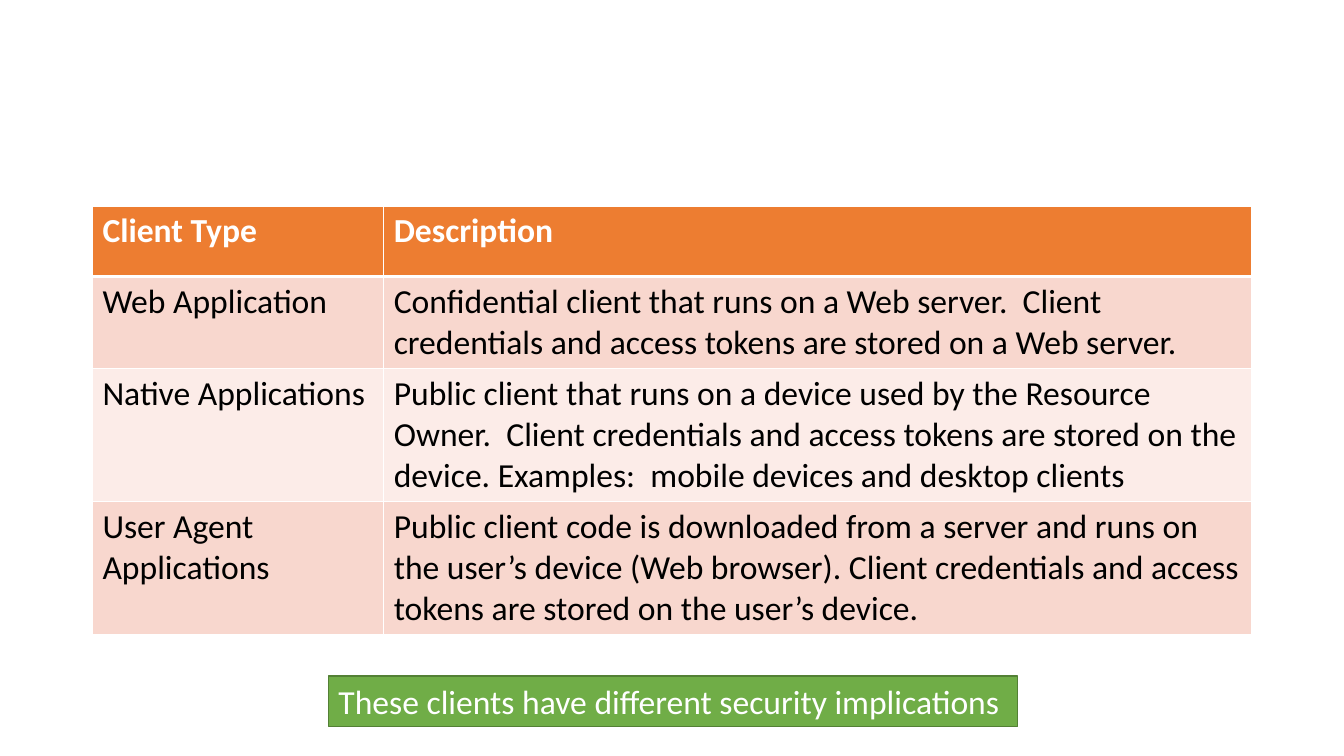
from dataclasses import dataclass

from lxml.etree import SubElement
from pptx import Presentation
from pptx.dml.color import RGBColor
from pptx.enum.shapes import MSO_SHAPE
from pptx.enum.text import MSO_ANCHOR, PP_ALIGN
from pptx.oxml.ns import qn
from pptx.slide import Slide
from pptx.table import _Cell as Cell
from pptx.text.text import TextFrame
from pptx.util import Cm, Pt

WHITE, BLACK = "FFFFFF", "000000"
ORANGE, ROSE, PALE_ROSE = "ED7D31", "F8D7CE", "FCECE8"
GREEN, DARK_GREEN = "70AD47", "538035"
TEXT_FORMAT = {"name": "Calibri", "size": Pt(24)}
COLUMN_WIDTHS = (7.34, 21.87)


@dataclass(frozen=True)
class ClientRow:
    client_type: str
    description: str
    height: float


ROWS = (
    ClientRow("Client Type", "Description", 1.78),
    ClientRow(
        "Web Application",
        "Confidential client that runs on a Web server.  Client credentials "
        "and access tokens are stored on a Web server.",
        2.31,
    ),
    ClientRow(
        "Native Applications",
        "Public client that runs on a device used by the Resource Owner.  "
        "Client credentials and access tokens are stored on the device. "
        "Examples:  mobile devices and desktop clients",
        3.3,
    ),
    ClientRow(
        "User Agent Applications",
        "Public client code is downloaded from a server and runs on the user’s "
        "device (Web browser). Client credentials and access tokens are stored "
        "on the user’s device.",
        3.3,
    ),
)


def color(hex_value: str) -> RGBColor:
    return RGBColor.from_string(hex_value)


def write_text(frame: TextFrame, text: str, text_color: str, bold: bool = False) -> None:
    paragraph = frame.paragraphs[0]
    paragraph.alignment = PP_ALIGN.LEFT
    run = paragraph.add_run()
    run.text = text
    for attribute, value in {**TEXT_FORMAT, "bold": bold}.items():
        setattr(run.font, attribute, value)
    run.font.color.rgb = color(text_color)


def add_borders(cell: Cell, widths: dict[str, int]) -> None:
    """Draw white borders; must run before the cell fill is set."""
    properties = cell._tc.get_or_add_tcPr()
    for side, width in widths.items():
        line = SubElement(properties, qn(f"a:ln{side}"), w=str(Pt(width)))
        fill = SubElement(line, qn("a:solidFill"))
        SubElement(fill, qn("a:srgbClr"), val=WHITE)


def add_client_table(slide: Slide) -> None:
    frame = slide.shapes.add_table(
        len(ROWS), len(COLUMN_WIDTHS), Cm(2.33), Cm(5.19),
        Cm(sum(COLUMN_WIDTHS)), Cm(sum(row.height for row in ROWS)),
    )
    table = frame.table
    for column, width in zip(table.columns, COLUMN_WIDTHS):
        column.width = Cm(width)
    for row_index, client in enumerate(ROWS):
        table.rows[row_index].height = Cm(client.height)
        is_header = row_index == 0
        banded = ROSE if row_index % 2 else PALE_ROSE
        widths = {
            "L": 1,
            "R": 1,
            "T": 3 if row_index == 1 else 1,
            "B": 3 if is_header else 1,
        }
        for column_index, text in enumerate((client.client_type, client.description)):
            cell = table.cell(row_index, column_index)
            add_borders(cell, widths)
            cell.fill.solid()
            cell.fill.fore_color.rgb = color(ORANGE if is_header else banded)
            write_text(cell.text_frame, text, WHITE if is_header else BLACK, is_header)


def add_security_note(slide: Slide) -> None:
    note = slide.shapes.add_shape(
        MSO_SHAPE.RECTANGLE, Cm(8.28), Cm(17.04), Cm(17.37), Cm(1.27)
    )
    note.shadow.inherit = False
    note.fill.solid()
    note.fill.fore_color.rgb = color(GREEN)
    note.line.color.rgb = color(DARK_GREEN)
    note.line.width = Pt(1)
    note.text_frame.word_wrap = True
    note.text_frame.vertical_anchor = MSO_ANCHOR.MIDDLE
    write_text(note.text_frame, "These clients have different security implications", WHITE)


def main() -> None:
    presentation = Presentation()
    presentation.slide_width = Cm(33.87)
    presentation.slide_height = Cm(19.05)
    slide = presentation.slides.add_slide(presentation.slide_layouts[6])
    add_client_table(slide)
    add_security_note(slide)
    presentation.save("out.pptx")


if __name__ == "__main__":
    main()
